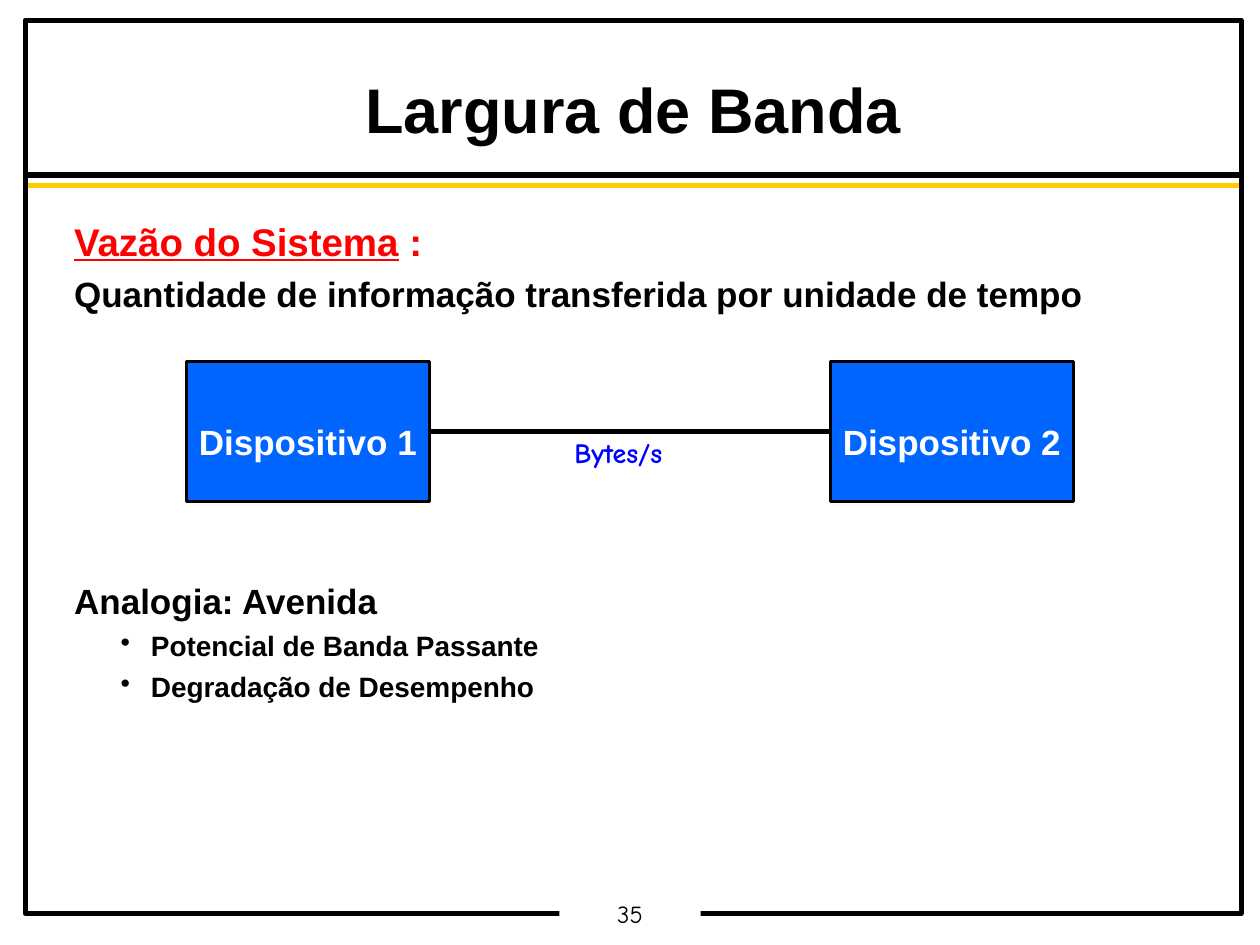
from lxml import etree
from pptx import Presentation
from pptx.dml.color import RGBColor
from pptx.enum.shapes import MSO_CONNECTOR, MSO_SHAPE
from pptx.enum.text import MSO_ANCHOR, MSO_AUTO_SIZE, PP_ALIGN
from pptx.oxml.ns import qn
from pptx.util import Inches, Pt

RECTANGLE, STRAIGHT = MSO_SHAPE.RECTANGLE, MSO_CONNECTOR.STRAIGHT
TOP, MIDDLE = MSO_ANCHOR.TOP, MSO_ANCHOR.MIDDLE
LEFT, CENTER = PP_ALIGN.LEFT, PP_ALIGN.CENTER
NO_FIT = MSO_AUTO_SIZE.NONE
BLACK, WHITE, RED, YELLOW = "000000", "FFFFFF", "FF0000", "FFCC00"
DEVICE_BLUE, LABEL_BLUE = "0066FF", "0000FF"
TIGHT, NORMAL = (0.07, 0.03), (0.1, 0.05)

TITLE = "Largura de Banda"
PAGE_NUMBER = "35"
HEADING = [("Vazão do Sistema", RED, True), (" ", BLACK, False), (":", RED, False)]
BODY = [
    {"runs": HEADING, "size": 22, "before": 0},
    {"runs": [("Quantidade de informação transferida por unidade de tempo", BLACK, False)],
     "size": 20, "before": 7.5},
    {"runs": [("Analogia: Avenida", BLACK, False)], "size": 20, "before": 153.5},
    {"runs": [("Potencial de Banda Passante", BLACK, False)], "size": 16, "before": 6, "bullet": True},
    {"runs": [("Degradação de Desempenho", BLACK, False)], "size": 16, "before": 6, "bullet": True},
]
DEVICES = ["Dispositivo 1", "Dispositivo 2"]
LINK_LABEL = "Bytes/s"

FRAME = (0.2, 0.16, 9.65, 7.09)
RULES = [(1.39, BLACK), (1.47, YELLOW)]
DEVICE_LEFT, DEVICE_TOP, DEVICE_WIDTH, DEVICE_HEIGHT = 1.48, 2.87, 1.93, 1.11
DEVICE_STEP = 5.11


def color(value):
    """Turn a hex string into a colour."""
    return RGBColor.from_string(value)


def apply(target, **values):
    """Set several attributes on one object."""
    for name, value in values.items():
        setattr(target, name, value)


def place(shape, left, top, width, height):
    """Move and size a shape, in inches."""
    apply(shape, left=Inches(left), top=Inches(top), width=Inches(width), height=Inches(height))


def add_line(slide, start, end, line_color, weight):
    """Draw a straight line without a shadow."""
    line = slide.shapes.add_connector(STRAIGHT, *map(Inches, start + end))
    line.line.color.rgb = color(line_color)
    line.line.width = Pt(weight)
    etree.SubElement(line._element.spPr, qn("a:effectLst"))


def add_rectangle(slide, box, fill=None, weight=None):
    """Draw a rectangle with an optional fill and black outline."""
    shape = slide.shapes.add_shape(RECTANGLE, *map(Inches, box))
    shape.shadow.inherit = False
    if fill:
        shape.fill.solid()
        shape.fill.fore_color.rgb = color(fill)
    else:
        shape.fill.background()
    if weight:
        shape.line.color.rgb = color(BLACK)
        shape.line.width = Pt(weight)
    else:
        shape.line.fill.background()
    return shape


def format_frame(shape, insets, wrap, anchor=TOP):
    """Set the margins, wrapping and anchor of a shape's text."""
    side, edge = map(Inches, insets)
    apply(shape.text_frame, auto_size=NO_FIT, word_wrap=wrap, vertical_anchor=anchor,
          margin_left=side, margin_right=side, margin_top=edge, margin_bottom=edge)
    return shape.text_frame


def add_run(paragraph, text, size, text_color, font="Arial", bold=True, underline=False):
    """Append formatted text to a paragraph."""
    run = paragraph.add_run()
    run.text = text
    apply(run.font, size=Pt(size), name=font, bold=bold, underline=underline)
    run.font.color.rgb = color(text_color)


def write_label(shape, text, size, text_color, insets=NORMAL, wrap=False, anchor=TOP,
                align=CENTER, spacing=1.0, **style):
    """Write a single line of text in a shape."""
    paragraph = format_frame(shape, insets, wrap, anchor).paragraphs[0]
    apply(paragraph, alignment=align, line_spacing=spacing)
    add_run(paragraph, text, size, text_color, **style)


def indent(paragraph, bullet):
    """Set a hanging indent, with a black bullet where wanted."""
    properties = paragraph._p.get_or_add_pPr()
    properties.set("marL", str(Inches(0.61 if bullet else 0.24)))
    properties.set("indent", str(Inches(-0.24)))
    if bullet:
        bullet_color = etree.SubElement(properties, qn("a:buClr"))
        etree.SubElement(bullet_color, qn("a:srgbClr"), val=BLACK)
        etree.SubElement(properties, qn("a:buChar"), char="•")
    else:
        etree.SubElement(properties, qn("a:buNone"))


def add_body(slide):
    """Write the definition and the analogy list."""
    box = slide.shapes.add_textbox(*map(Inches, (0.49, 1.72, 9.03, 5.13)))
    frame = format_frame(box, NORMAL, True)
    for index, item in enumerate(BODY):
        paragraph = frame.add_paragraph() if index else frame.paragraphs[0]
        bullet = item.get("bullet", False)
        indent(paragraph, bullet)
        apply(paragraph, level=int(bullet), line_spacing=0.9, space_before=Pt(item["before"]))
        for text, text_color, underline in item["runs"]:
            add_run(paragraph, text, item["size"], text_color, underline=underline)


def add_diagram(slide):
    """Draw the two devices and the link between them."""
    for index, name in enumerate(DEVICES):
        left = DEVICE_LEFT + index * DEVICE_STEP
        device = add_rectangle(slide, (left, DEVICE_TOP, DEVICE_WIDTH, DEVICE_HEIGHT), DEVICE_BLUE, 2)
        write_label(device, name, 20, WHITE, anchor=MIDDLE)
        device.text_frame.margin_top = Inches(0.21)
    label = slide.shapes.add_textbox(*map(Inches, (4.46, 3.41, 0.9, 0.37)))
    write_label(label, LINK_LABEL, 16, LABEL_BLUE, align=LEFT, font="Comic Neue")
    middle = DEVICE_TOP + DEVICE_HEIGHT / 2
    add_line(slide, (DEVICE_LEFT + DEVICE_WIDTH, middle), (DEVICE_LEFT + DEVICE_STEP, middle), BLACK, 2.83)


def main():
    """Build and save the slide."""
    presentation = Presentation()
    apply(presentation, slide_width=Inches(10), slide_height=Inches(7.5))
    slide = presentation.slides.add_slide(presentation.slide_layouts[5])
    for top, line_color in RULES:
        add_line(slide, (0.2, top), (9.84, top), line_color, 3)
    add_rectangle(slide, FRAME, weight=2.83)
    number = add_rectangle(slide, (4.44, 7.13, 1.12, 0.27), WHITE)
    write_label(number, PAGE_NUMBER, 14, BLACK, TIGHT, spacing=0.9, font="Comic Neue", bold=False)
    title = slide.shapes.title
    place(title, 2.82, 0.57, 4.41, 0.63)
    write_label(title, TITLE, 36, BLACK, TIGHT, wrap=True, spacing=0.95)
    add_body(slide)
    add_diagram(slide)
    presentation.save("out.pptx")


if __name__ == "__main__":
    main()
